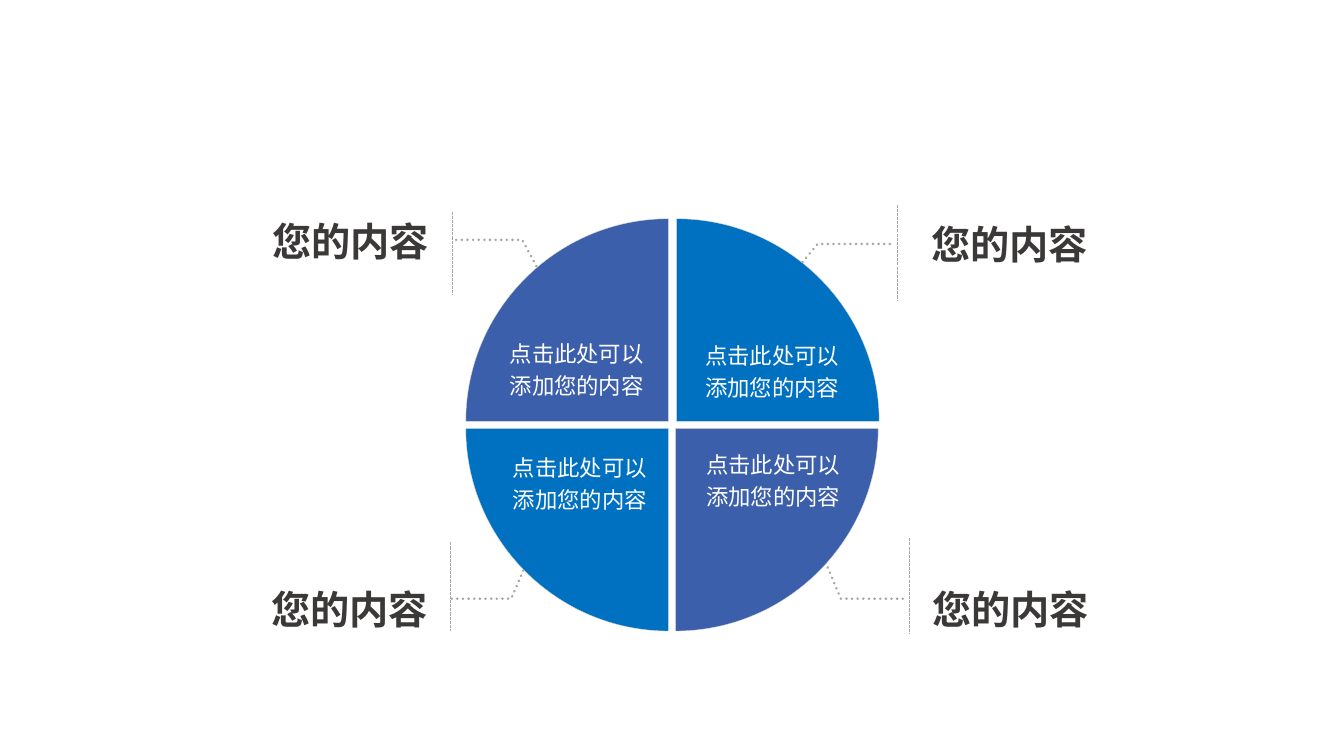
from lxml.etree import SubElement
from pptx import Presentation
from pptx.dml.color import RGBColor
from pptx.enum.dml import MSO_LINE_DASH_STYLE as Dash
from pptx.enum.shapes import MSO_CONNECTOR as Connector
from pptx.enum.text import MSO_AUTO_SIZE as AutoSize, PP_ALIGN as Align
from pptx.oxml.ns import qn
from pptx.util import Pt

PX = 9144
FONT = "Noto Sans CJK SC"
RADIUS = 201
ARC_HANDLE = 0.55
INDIGO, BLUE = "3B5FAB", "0070C0"
GREY, PALE, DARK, WHITE = "A6A6A6", "D7D7D7", "3B3838", "FFFFFF"
HEADING = ["您的内容"]
DETAIL = ["点击此处可以", "添加您的内容"]

QUADRANTS = [
    dict(corner=(663, 418), direction=(-1, -1), color=INDIGO,
         detail=(476, 327), heading=(244, 201), rule=(449, 210, 292),
         leader=[(532, 264), (518, 238), (449, 238)]),
    dict(corner=(671, 418), direction=(1, -1), color=BLUE,
         detail=(670, 329), heading=(898, 204), rule=(890, 203, 299),
         leader=[(796, 260), (811, 242), (886, 242)]),
    dict(corner=(663, 425), direction=(-1, 1), color=BLUE,
         detail=(479, 440), heading=(243, 566), rule=(447, 538, 626),
         leader=[(519, 566), (507, 594), (447, 594)]),
    dict(corner=(670, 425), direction=(1, 1), color=INDIGO,
         detail=(671, 437), heading=(899, 566), rule=(902, 534, 629),
         leader=[(821, 563), (834, 594), (898, 594)]),
]


def rgb(color):
    return RGBColor.from_string(color)


def px(*lengths):
    return [length * PX for length in lengths]


def style_line(line, color, width, dash=None):
    line.color.rgb = rgb(color)
    line.width = Pt(width)
    if dash:
        line.dash_style = dash


def add_outline(slide, points, close):
    start, *others = [px(*point) for point in points]
    builder = slide.shapes.build_freeform(*start)
    builder.add_line_segments(others, close=close)
    shape = builder.convert_to_shape()
    shape.shadow.inherit = False
    return shape


def bend_first_edge(shape):
    outline = shape._element.spPr.find(".//" + qn("a:path"))
    start, end = [(int(point.get("x")), int(point.get("y")))
                  for point in list(outline.iter(qn("a:pt")))[:2]]
    reach_x = round(ARC_HANDLE * (end[0] - start[0]))
    reach_y = round(ARC_HANDLE * (end[1] - start[1]))
    handles = [(start[0] + reach_x, start[1]), (end[0], end[1] - reach_y)]
    edge = outline.find(qn("a:lnTo"))
    curve = SubElement(outline, qn("a:cubicBezTo"))
    for x, y in [*handles, end]:
        SubElement(curve, qn("a:pt"), x=str(x), y=str(y))
    outline.replace(edge, curve)


def add_sector(slide, corner, direction, color):
    (x, y), (dx, dy) = corner, direction
    pole, side = (x, y + dy * RADIUS), (x + dx * RADIUS, y)
    shape = add_outline(slide, [pole, side, corner], True)
    bend_first_edge(shape)
    shape.fill.solid()
    shape.fill.fore_color.rgb = rgb(color)
    style_line(shape.line, PALE, 0.25)


def add_leader(slide, points):
    shape = add_outline(slide, points, False)
    shape.fill.background()
    style_line(shape.line, GREY, 2, Dash.ROUND_DOT)
    shape._element.spPr.find(qn("a:ln")).set("cap", "rnd")


def add_rule(slide, x, top, bottom):
    rule = slide.shapes.add_connector(Connector.STRAIGHT, *px(x, top, x, bottom))
    style_line(rule.line, GREY, 0.75, Dash.SQUARE_DOT)
    SubElement(rule._element.spPr, qn("a:effectLst"))


def add_text(slide, box, lines, size, color, align, bold=False):
    text_frame = slide.shapes.add_textbox(*px(*box)).text_frame
    text_frame.word_wrap = True
    text_frame.auto_size = AutoSize.SHAPE_TO_FIT_TEXT
    text_frame.text = "\n".join(lines)
    for paragraph in text_frame.paragraphs:
        paragraph.alignment = align
        paragraph.line_spacing = 1.2
        for run in paragraph.runs:
            run.font.size = Pt(size)
            run.font.bold = bold
            run.font.name = FONT
            run.font.color.rgb = rgb(color)
            SubElement(run._r.rPr, qn("a:ea"), typeface=FONT)


def add_quadrant(slide, corner, direction, color, detail, heading, rule, leader):
    add_leader(slide, leader)
    add_sector(slide, corner, direction, color)
    add_rule(slide, *rule)
    add_text(slide, (*detail, 192, 75), DETAIL, 16, WHITE, Align.CENTER)
    add_text(slide, (*heading, 191, 62), HEADING, 28, DARK, Align.RIGHT, True)


def main():
    presentation = Presentation()
    presentation.slide_width, presentation.slide_height = px(1333, 750)
    slide = presentation.slides.add_slide(presentation.slide_layouts[6])
    for quadrant in QUADRANTS:
        add_quadrant(slide, **quadrant)
    presentation.save("out.pptx")


if __name__ == "__main__":
    main()
